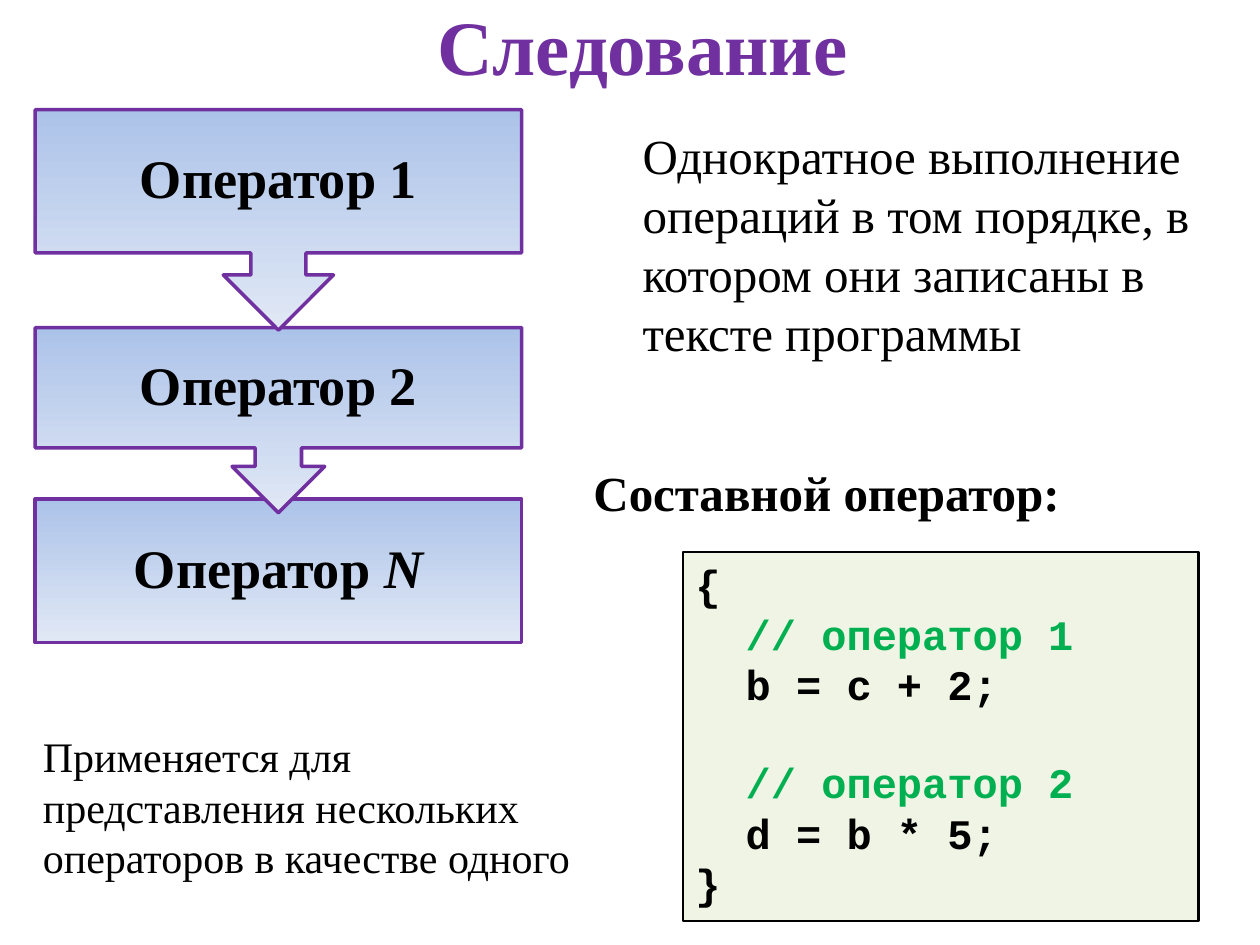
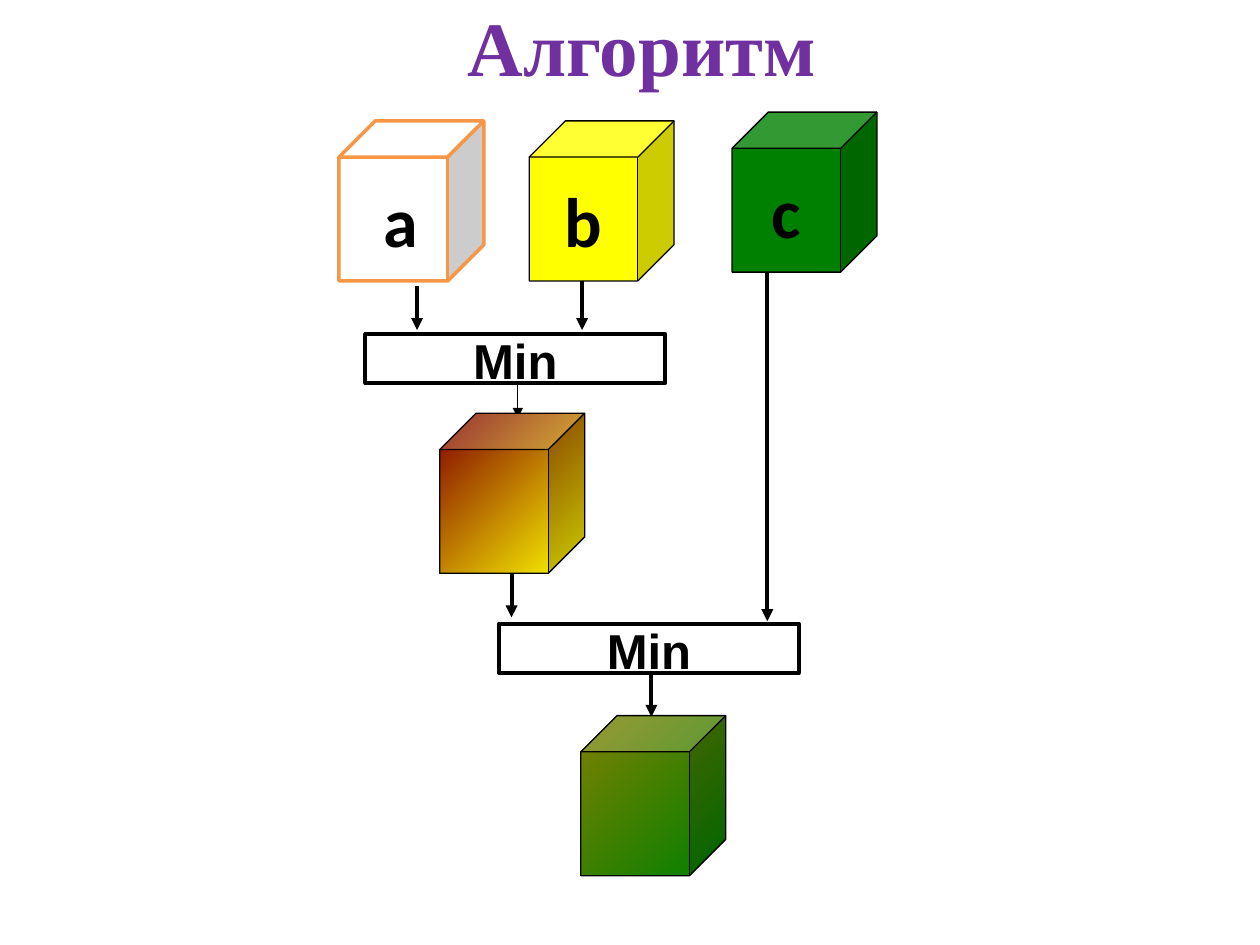
from lxml import etree
from pptx import Presentation
from pptx.dml.color import RGBColor
from pptx.enum.shapes import MSO_CONNECTOR, MSO_SHAPE
from pptx.enum.text import MSO_ANCHOR, PP_ALIGN
from pptx.oxml.ns import qn
from pptx.util import Inches, Pt

RECT, CUBE = MSO_SHAPE.RECTANGLE, MSO_SHAPE.CUBE
CALL, STEP = MSO_SHAPE.DOWN_ARROW_CALLOUT, MSO_SHAPE.FLOWCHART_PROCESS
LINE = MSO_CONNECTOR.STRAIGHT
MID, TOP = MSO_ANCHOR.MIDDLE, MSO_ANCHOR.TOP
LEFT, MIDST = PP_ALIGN.LEFT, PP_ALIGN.CENTER
SERIF, MONO, SANS, HEAD = "Times New Roman", "Courier New", "Calibri", "Arial"
BLACK, VIOLET, GREEN = "000000", "7030A0", "00B050"
rgb = RGBColor.from_string


def write(par, text, size, face, hue=BLACK, bold=True, align=MIDST):
    par.text = text
    par.alignment = align
    par.font.size = Pt(size)
    par.font.name = face
    par.font.bold = bold
    par.font.color.rgb = rgb(hue)


def block(slide, kind, at, fill, line, width, angle=0):
    shape = slide.shapes.add_shape(kind, *map(Inches, at))
    shape.shadow.inherit = False
    if not fill:
        shape.fill.background()
    elif len(fill) == 1:
        shape.fill.solid()
        shape.fill.fore_color.rgb = rgb(fill[0])
    else:
        shape.fill.gradient()
        shape.fill.gradient_angle = angle
        for stop, hue in zip(shape.fill.gradient_stops, fill):
            stop.color.rgb = rgb(hue)
    shape.line.color.rgb = rgb(line)
    shape.line.width = Pt(width)
    shape.text_frame.vertical_anchor = MID
    return shape


prs = Presentation()
prs.slide_width, prs.slide_height = Inches(10), Inches(7.5)

pages = []
for text, left, top, width in [("Следование", 0, 0, 10.2), ("Алгоритм", 0.59, 0.01, 9.01)]:
    slide = prs.slides.add_slide(prs.slide_layouts[5])
    title = slide.shapes.title
    title.left, title.top = Inches(left), Inches(top)
    title.width, title.height = Inches(width), Inches(0.71)
    title.text_frame.vertical_anchor = MID
    write(title.text_frame.paragraphs[0], text, 44, SERIF, VIOLET)
    pages.append(slide)
flow, algo = pages

for kind, mark, top, high in [(RECT, "N", 3.96, 1.14), (CALL, "2", 2.6, 1.47), (CALL, "1", 0.87, 1.75)]:
    shape = block(flow, kind, (0.28, top, 3.86, high), ["ACC3E9", "E1E8F5"], VIOLET, 2, 270)
    par = shape.text_frame.paragraphs[0]
    write(par, "Оператор ", 31, SERIF)
    par.line_spacing = 0.9
    run = par.add_run()
    run.text = mark
    if mark == "N":
        run.font.italic = True

code = block(flow, RECT, (5.42, 4.38, 4.09, 2.93), ["D7E4BD"], BLACK, 1.5)
tint = code.fill._xPr.find(qn("a:solidFill")).find(qn("a:srgbClr"))
etree.SubElement(tint, qn("a:alpha")).set("val", "39000")
frame = code.text_frame
frame.vertical_anchor = TOP
rows = [
    ("{", BLACK, 0, 0),
    ("// оператор 1", GREEN, 0.4, 0),
    ("b = c + 2;", BLACK, 0.4, 0),
    ("// оператор 2", GREEN, 0.4, 27.2),
    ("d = b * 5;", BLACK, 0.4, 0),
    ("}", BLACK, 0, 0),
]
for num, (text, hue, dent, gap) in enumerate(rows):
    par = frame.add_paragraph() if num else frame.paragraphs[0]
    write(par, text, 24, MONO, hue, align=LEFT)
    par.space_before = Pt(gap)
    par._p.get_or_add_pPr().set("marL", str(Inches(dent)))

notes = [
    ("Однократное выполнение операций в том порядке, в котором они записаны в тексте программы",
     (4.88, 0.92, 4.88, 2.07), 28, False),
    ("Применяется для представления нескольких операторов в качестве одного",
     (0.12, 5.72, 4.76, 1.36), 24, False),
    ("Составной оператор:", (4.49, 3.59, 4.33, 0.58), 28, True),
]
for text, at, size, bold in notes:
    frame = flow.shapes.add_textbox(*map(Inches, at)).text_frame
    frame.word_wrap = True
    frame.margin_left, frame.margin_top = Inches(0.22), Inches(0.08)
    write(frame.paragraphs[0], text, size, SERIF, bold=bold, align=LEFT)

cubes = [
    ("а", 2.69, 0.96, "FFFFFF", "F79646", 2, 0.22),
    ("b", 4.2, 0.96, "FFFF00", BLACK, 0.75, 0.1),
    ("c", 5.81, 0.89, "008000", BLACK, 0.75, 0.1),
]
for text, left, top, fill, line, width, inset in cubes:
    cube = block(algo, CUBE, (left, top, 1.15, 1.27), [fill], line, width)
    cube.text_frame.word_wrap = False
    cube.text_frame.margin_left = Inches(inset)
    write(cube.text_frame.paragraphs[0], text, 40, SANS)

for left, top in [(2.9, 2.65), (3.96, 4.95)]:
    frame = block(algo, STEP, (left, top, 2.38, 0.39), [], BLACK, 2.3).text_frame
    frame.word_wrap = False
    frame.margin_top, frame.margin_bottom = Inches(0.09), Inches(0.07)
    write(frame.paragraphs[0], "Min", 28, HEAD)

links = [
    (3.31, 2.27, 2.62, 2.3),
    (4.62, 2.23, 2.62, 2.3),
    (4.11, 3.04, 3.32, 0.75),
    (6.09, 2.16, 4.93, 2.3),
    (5.17, 5.33, 5.69, 2.3),
    (4.06, 4.53, 4.9, 2.3),
]
for x, top, end, width in links:
    link = algo.shapes.add_connector(LINE, Inches(x), Inches(top), Inches(x), Inches(end))
    link.line.color.rgb = rgb(BLACK)
    link.line.width = Pt(width)
    etree.SubElement(link.line._get_or_add_ln(), qn("a:tailEnd")).set("type", "triangle")
    etree.SubElement(link._element.spPr, qn("a:effectLst"))

for left, top, fill in [(4.61, 5.68, ["008000", "808000"]), (3.49, 3.28, ["FFFF00", "800000"])]:
    block(algo, CUBE, (left, top, 1.15, 1.27), fill, BLACK, 0.75, 135)

prs.save("out.pptx")
